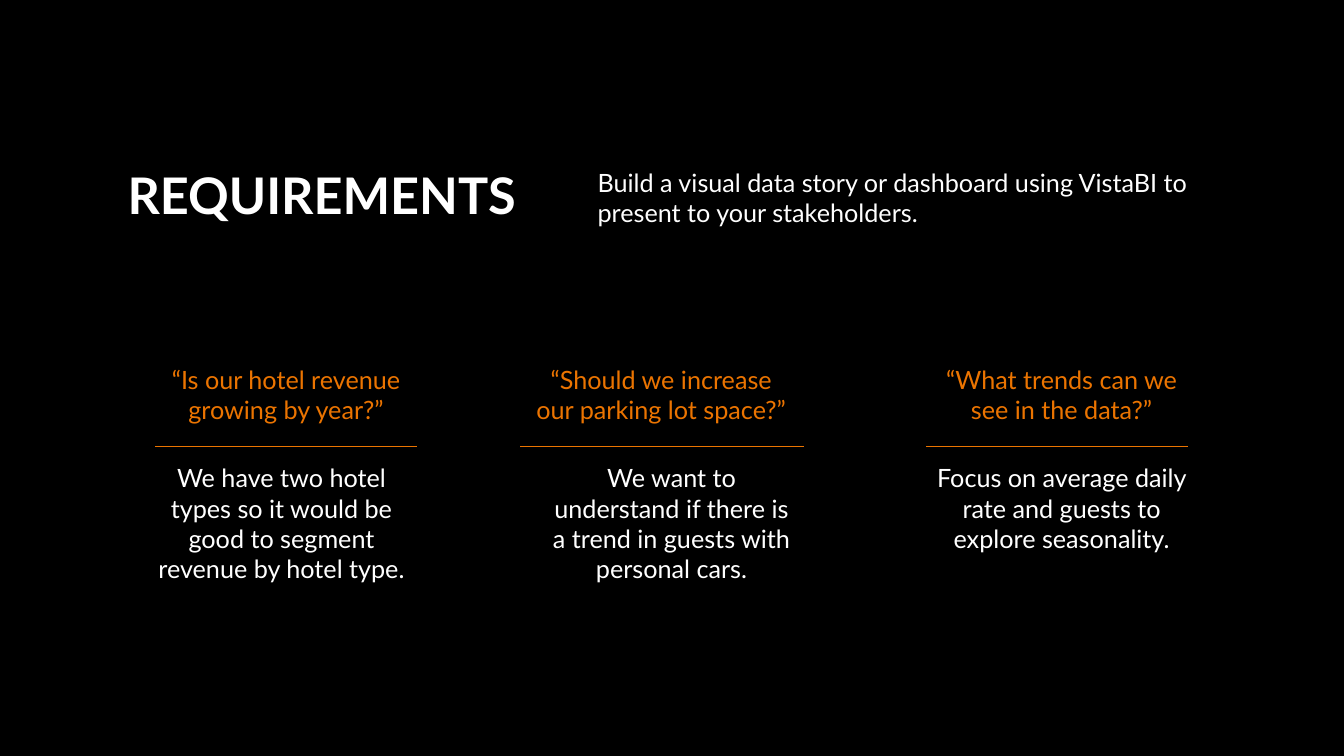
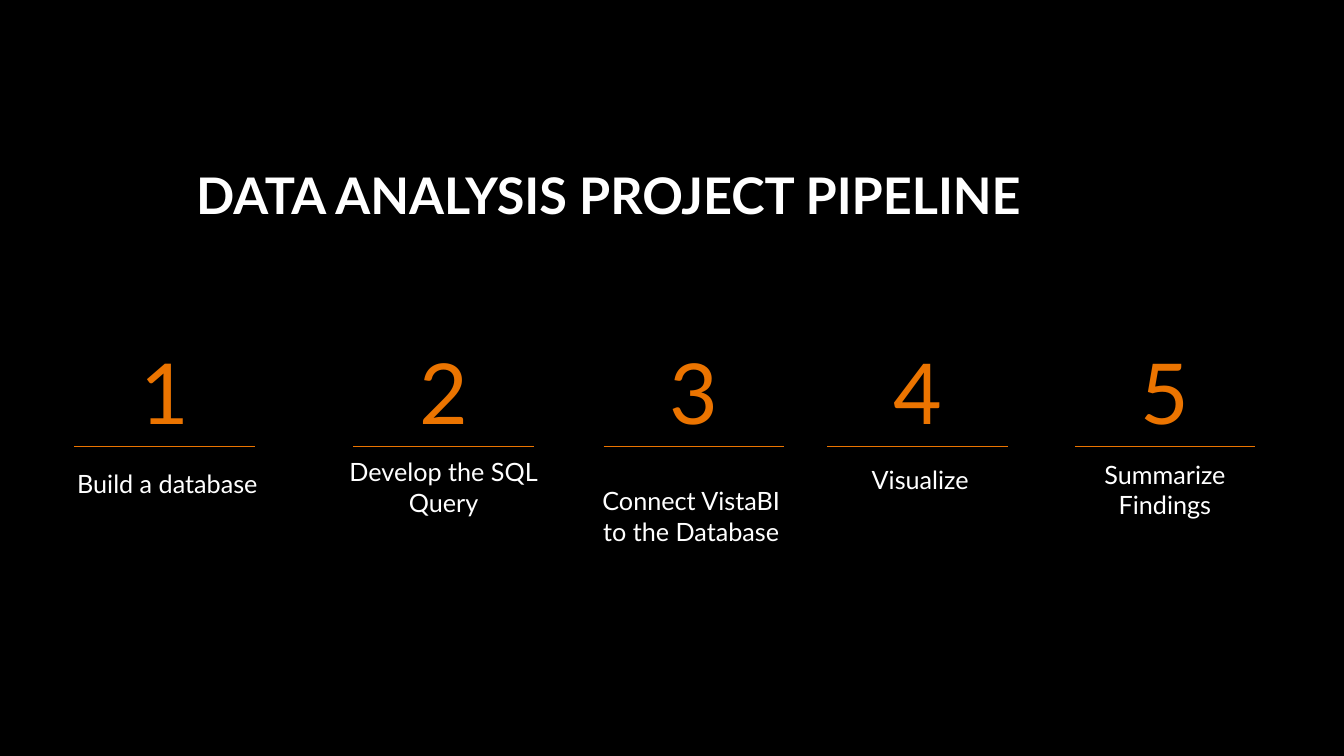
"""Build the requirements and project pipeline slides."""
from dataclasses import dataclass

from lxml import etree
from pptx import Presentation
from pptx.dml.color import RGBColor
from pptx.enum.shapes import MSO_CONNECTOR
from pptx.enum.text import MSO_ANCHOR, PP_ALIGN
from pptx.oxml.ns import qn
from pptx.slide import Slide
from pptx.util import Cm, Pt

BLACK = RGBColor(0x00, 0x00, 0x00)
WHITE = RGBColor(0xFF, 0xFF, 0xFF)
OFF_WHITE = RGBColor(0xFE, 0xFE, 0xFE)
ORANGE = RGBColor(0xEB, 0x74, 0x00)

LEFT, CENTER, RIGHT = PP_ALIGN.LEFT, PP_ALIGN.CENTER, PP_ALIGN.RIGHT
MIDDLE, BOTTOM = MSO_ANCHOR.MIDDLE, MSO_ANCHOR.BOTTOM
STRAIGHT = MSO_CONNECTOR.STRAIGHT

FONT = "Lato"
BODY_SIZE = 18
NUMBER_SIZE = 60
TITLE_SIZE = 36
BLANK_LAYOUT = 6

RULE_TOP = 11.25
TEXT_HEIGHT = 1.9
QUESTION_TOP = 8.92
ANSWER_WIDTH = 6.83
NUMBER_WIDTH = 6.6
STEP_RULE_WIDTH = 4.55
CAPTION_WIDTH = 5.28
CAPTION_HEIGHT = 1.25


@dataclass(frozen=True)
class Box:
    """Position and size in centimetres."""

    left: float
    top: float
    width: float
    height: float


@dataclass(frozen=True)
class Requirement:
    """A question above a rule and its answer below."""

    question: str
    answer: str
    left: float
    question_width: float
    rule_width: float
    answer_left: float
    answer_bottom: float


@dataclass(frozen=True)
class Step:
    """A numbered step of the pipeline."""

    caption: str
    center: float
    caption_center: float
    caption_bottom: float


REQUIREMENTS = (
    Requirement(
        "“Is our hotel revenue growing by year?”",
        "We have two hotel types so it would be good to segment revenue by hotel type.",
        3.91, 6.6, 6.6, 3.68, 14.83,
    ),
    Requirement(
        "“Should we increase our parking lot space?”",
        "We want to understand if there is a trend in guests with personal cars.",
        13.11, 7.11, 7.14, 13.51, 14.83,
    ),
    Requirement(
        "“What trends can we see in the data?”",
        "Focus on average daily rate and guests to explore seasonality.",
        23.34, 6.83, 6.6, 23.34, 14.07,
    ),
)

STEPS = (
    Step("Build a database", 4.15, 4.22, 12.7),
    Step("Develop the SQL\nQuery", 11.18, 11.18, 13.16),
    Step("Connect VistaBI to the Database", 17.49, 17.42, 13.89),
    Step("Visualize", 23.12, 23.19, 12.6),
    Step("Summarize Findings", 29.36, 29.36, 13.23),
)


def add_text(
    slide: Slide,
    box: Box,
    text: str,
    color: RGBColor = WHITE,
    size: int = BODY_SIZE,
    alignment: PP_ALIGN = CENTER,
    anchor: MSO_ANCHOR = BOTTOM,
    bold: bool = False,
    line_spacing: float = 1.0,
) -> None:
    """Add a wrapped text box."""
    shape = slide.shapes.add_textbox(Cm(box.left), Cm(box.top), Cm(box.width), Cm(box.height))
    frame = shape.text_frame
    frame.word_wrap = True
    frame.vertical_anchor = anchor
    frame.text = text
    for paragraph in frame.paragraphs:
        paragraph.alignment = alignment
        paragraph.line_spacing = line_spacing
        paragraph.font.name = FONT
        paragraph.font.size = Pt(size)
        paragraph.font.bold = bold
        paragraph.font.color.rgb = color


def add_rule(slide: Slide, left: float, width: float) -> None:
    """Add a thin orange rule at the shared height."""
    rule = slide.shapes.add_connector(
        STRAIGHT, Cm(left), Cm(RULE_TOP), Cm(left + width), Cm(RULE_TOP)
    )
    rule.line.color.rgb = ORANGE
    rule.line.width = Pt(0.75)
    etree.SubElement(rule._element.spPr, qn("a:effectLst"))


def add_titled_slide(presentation: Presentation, title: str, width: float) -> Slide:
    """Add a slide with a right-aligned bold title."""
    slide = presentation.slides.add_slide(presentation.slide_layouts[BLANK_LAYOUT])
    add_text(
        slide, Box(2.18, 3.66, width, 2.69), title,
        size=TITLE_SIZE, alignment=RIGHT, anchor=MIDDLE, bold=True, line_spacing=0.9,
    )
    return slide


def add_requirement(slide: Slide, item: Requirement) -> None:
    """Draw one requirement column."""
    question_box = Box(item.left, QUESTION_TOP, item.question_width, TEXT_HEIGHT)
    answer_box = Box(
        item.answer_left, item.answer_bottom - TEXT_HEIGHT, ANSWER_WIDTH, TEXT_HEIGHT
    )
    add_text(slide, question_box, item.question, ORANGE)
    add_rule(slide, item.left, item.rule_width)
    add_text(slide, answer_box, item.answer)


def add_step(slide: Slide, number: int, step: Step) -> None:
    """Draw one numbered pipeline step."""
    number_box = Box(
        step.center - NUMBER_WIDTH / 2, RULE_TOP - TEXT_HEIGHT, NUMBER_WIDTH, TEXT_HEIGHT
    )
    caption_box = Box(
        step.caption_center - CAPTION_WIDTH / 2,
        step.caption_bottom - CAPTION_HEIGHT,
        CAPTION_WIDTH,
        CAPTION_HEIGHT,
    )
    add_text(slide, number_box, str(number), ORANGE, NUMBER_SIZE)
    add_rule(slide, step.center - STEP_RULE_WIDTH / 2, STEP_RULE_WIDTH)
    add_text(slide, caption_box, step.caption)


def build_requirements(presentation: Presentation) -> None:
    """Build the requirements slide."""
    slide = add_titled_slide(presentation, "REQUIREMENTS", 11.07)
    add_text(
        slide, Box(14.81, 4.65, 15.37, 1.22),
        "Build a visual data story or dashboard using VistaBI to present to your stakeholders.",
        OFF_WHITE, alignment=LEFT,
    )
    for item in REQUIREMENTS:
        add_requirement(slide, item)


def build_pipeline(presentation: Presentation) -> None:
    """Build the pipeline slide."""
    slide = add_titled_slide(presentation, "DATA ANALYSIS PROJECT PIPELINE", 23.8)
    for number, step in enumerate(STEPS, start=1):
        add_step(slide, number, step)


def main() -> None:
    """Build and save the presentation."""
    presentation = Presentation()
    presentation.slide_width = Cm(33.87)
    presentation.slide_height = Cm(19.05)
    background = presentation.slide_master.background.fill
    background.solid()
    background.fore_color.rgb = BLACK
    build_requirements(presentation)
    build_pipeline(presentation)
    presentation.save("out.pptx")


if __name__ == "__main__":
    main()
